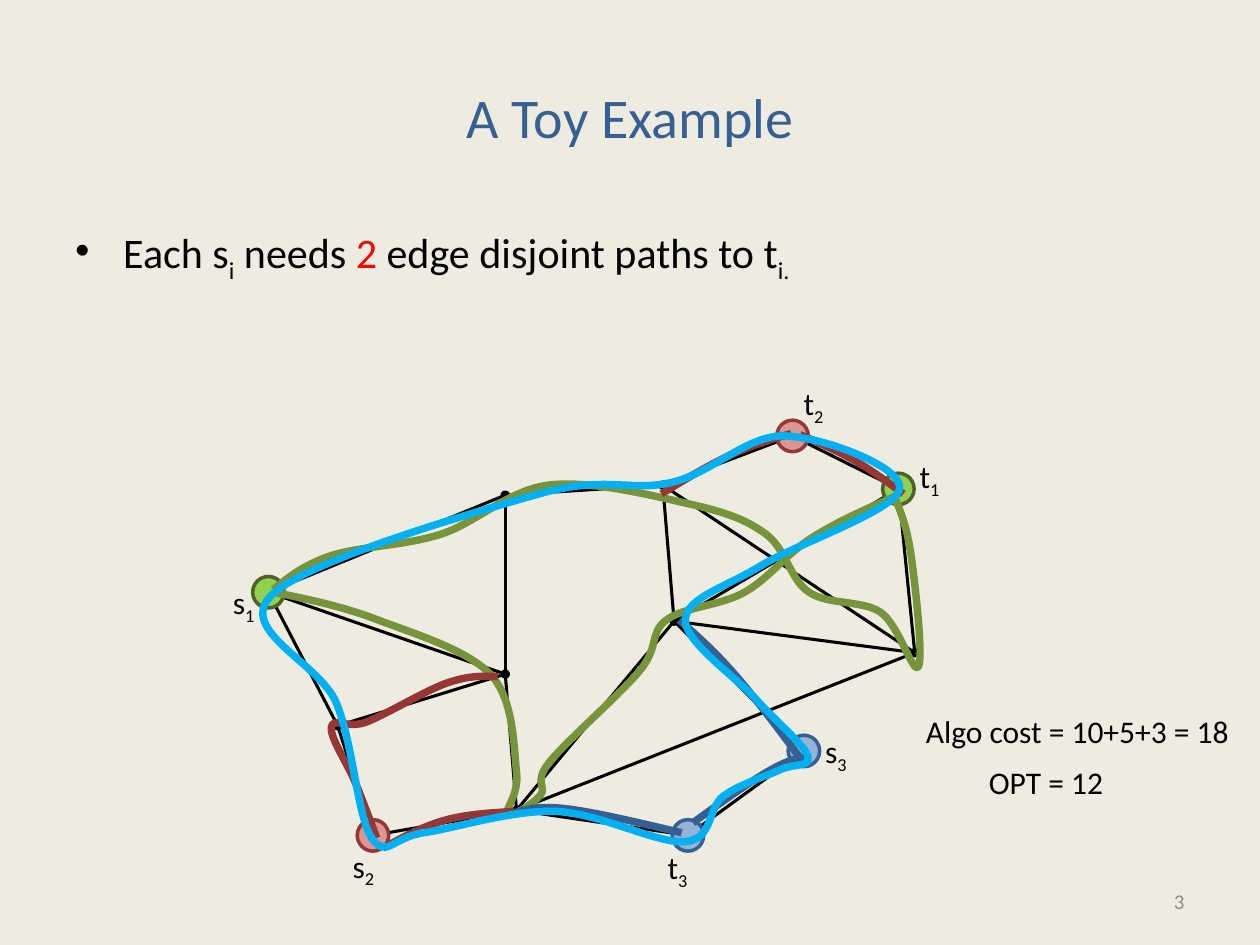
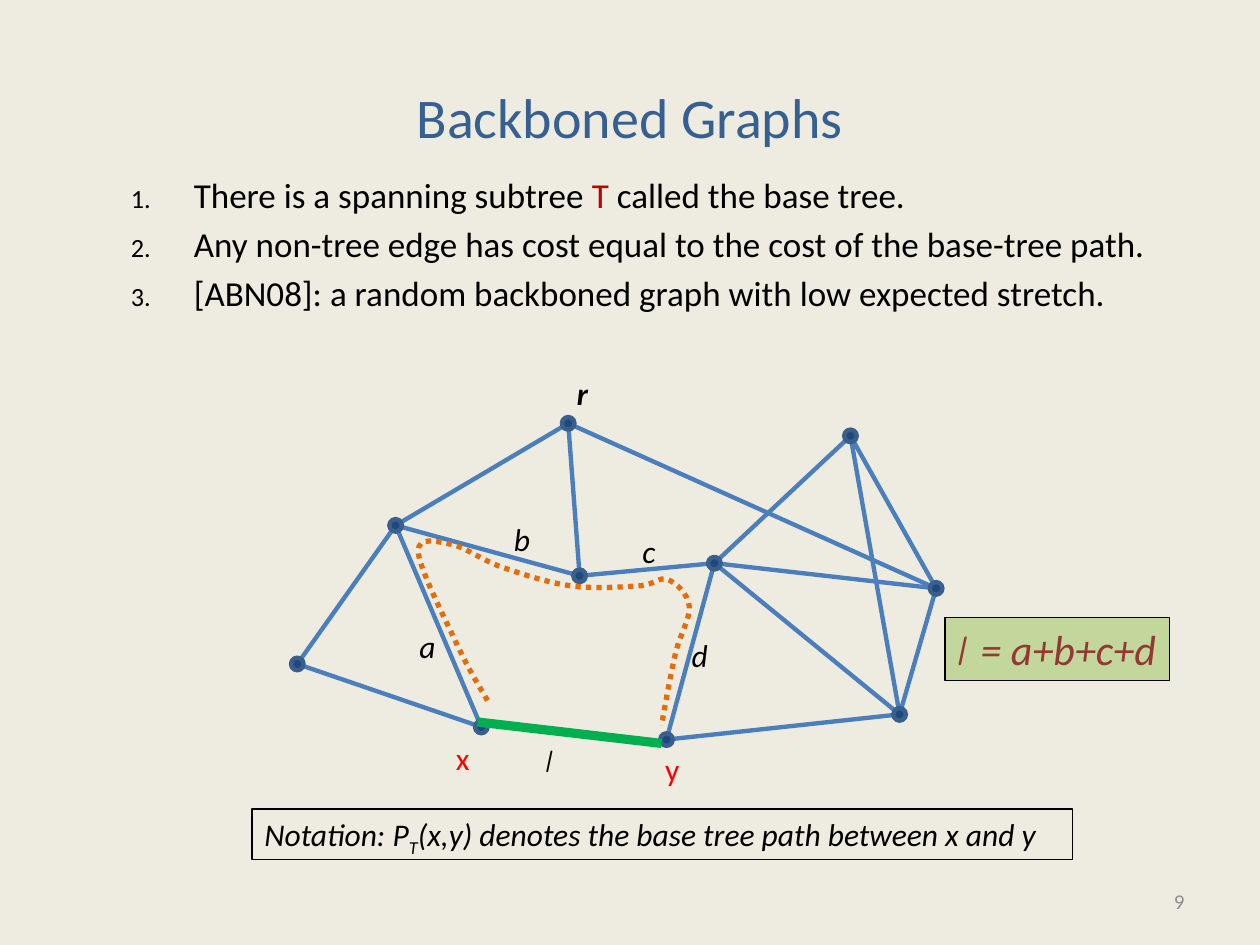
from lxml import etree
from pptx import Presentation
from pptx.dml.color import RGBColor
from pptx.enum.dml import MSO_LINE
from pptx.enum.shapes import MSO_CONNECTOR, MSO_SHAPE
from pptx.enum.text import MSO_ANCHOR, MSO_AUTO_SIZE, PP_ALIGN
from pptx.oxml.ns import qn
from pptx.util import Inches, Pt

COLORS = {
    "paper": "EEECE1", "title": "376092", "number": "8C8C8C", "black": "000000",
    "red": "FF0000", "dark_red": "C00000", "dot": "4F81BD", "cyan": "00B0F0",
    "lime": "92D050", "forest": "4F6228", "olive": "77933C",
    "pink": "D99694", "brick": "953735", "sky": "95B3D7", "navy": "376092",
    "edge": "4B7EBC", "node": "1F497D", "node_line": "3A5F8C",
    "orange": "E46C0A", "green": "00B050", "formula": "C3D69B",
}
TITLE_AT = (0.5, 0.3, 9, 1.25)
NUMBER_AT = (7.17, 6.95, 2.33, 0.4)
LABEL_HEIGHT = 0.4
SUB = {"sub": True}
COMIC = "Comic Neue"

# Slide 1: node centres, edges by node name, curves by the points they pass.
TOY_NEEDS = [["Each s", ("i", SUB), " needs ", ("2", {"color": "red"}),
              " edge disjoint paths to t", ("i.", SUB)]]
TERMINALS = {"s1": (2.13, 4.7), "t1": (7.13, 3.88), "s2": (2.96, 6.63),
             "t2": (6.29, 3.46), "s3": (6.38, 5.96), "t3": (5.46, 6.63)}
JUNCTIONS = {"a": (2.68, 5.76), "b": (4.01, 3.93), "c": (4.01, 5.35), "d": (5.26, 3.85),
             "e": (5.35, 4.93), "f": (7.26, 5.18), "g": (4.1, 6.43)}
TOY_EDGES = ("t2-t1 s1-b b-c c-a a-s1 s1-c b-d d-e e-g g-c e-s3 s3-t3 "
             "e-f f-t1 t1-e d-f f-g g-t3 t2-d s2-a s2-g")
TERMINAL_PAIRS = [
    {"ends": ("s1", "t1"), "fill": "lime", "line": "forest", "path": "olive", "curves": [
        [(2.17, 4.68), (2.63, 4.41), (3.5, 4.24), (4.36, 3.85), (5.47, 4), (6.08, 4.24),
         (6.42, 4.7), (6.99, 4.86), (7.29, 5.29), (7.23, 4.4), (7.09, 3.92)],
        [(2.17, 4.7), (3, 4.92), (3.9, 5.36), (4.1, 6.13), (4.03, 6.46), (4.29, 6.31),
         (4.36, 6.05), (5.08, 5.32), (5.29, 4.92), (5.91, 4.7), (6.44, 4.27),
         (7.1, 3.94)]]},
    {"ends": ("s2", "t2"), "fill": "pink", "line": "brick", "path": "brick", "curves": [
        [(3.04, 6.73), (3.53, 6.51), (4.08, 6.44)],
        [(2.99, 6.65), (2.82, 6.21), (2.63, 5.77), (2.91, 5.73), (3.55, 5.42),
         (3.95, 5.37)],
        [(5.25, 3.92), (5.78, 3.62), (6.28, 3.44)],
        [(6.35, 3.45), (6.79, 3.66), (7.17, 3.92)]]},
    {"ends": ("s3", "t3"), "fill": "sky", "line": "navy", "path": "navy", "curves": [
        [(5.5, 6.53), (6.1, 6.12), (6.42, 6)],
        [(5.41, 6.61), (4.5, 6.42), (4.09, 6.45)],
        [(6.36, 6.03), (5.83, 5.35), (5.39, 4.92)]]},
]
OPTIMAL_TOUR = [
    (2.15, 4.73), (4.28, 3.92), (5.33, 3.83), (6.23, 3.46), (7.14, 3.88), (6.04, 4.49),
    (5.44, 4.92), (6, 5.55), (6.41, 6), (6.19, 6.11), (5.74, 6.32), (5.44, 6.68),
    (4.41, 6.44), (3.36, 6.61), (2.95, 6.65), (2.67, 5.58)]
TERMINAL_LABELS = {"s1": (1.75, 4.58), "t1": (7.2, 3.58), "s2": (2.7, 6.67),
                   "t2": (6.28, 3), "s3": (6.45, 5.76), "t3": (5.2, 6.68)}
COSTS = [("Algo cost = 10+5+3 = 18", 7.25, 5.6, 2.64), ("OPT = 12", 7.75, 6.01, 1.12)]

# Slide 2
BACKBONE_FACTS = [
    ["There is a spanning subtree ", ("T", {"color": "dark_red"}),
     " called the base tree."],
    ["Any non-tree edge has cost equal to the cost of the base-tree path."],
    ["[ABN08]: a random backboned graph with low expected stretch."],
]
BACKBONE_NODES = {
    "left": (2.36, 5.27), "fork": (3.14, 4.17), "r": (4.51, 3.36), "mid": (4.6, 4.57),
    "x": (3.82, 5.77), "y": (5.29, 5.87), "hub": (5.67, 4.47), "peak": (6.75, 3.46),
    "right": (7.43, 4.67), "low": (7.14, 5.67)}
BACKBONE_EDGES = ("left-fork fork-r r-mid fork-mid fork-x left-x y-low low-right "
                  "right-peak peak-low right-hub hub-peak hub-low r-right mid-hub hub-y")
BASE_TREE_PATH = [
    (3.87, 5.56), (3.62, 5.1), (3.32, 4.38), (3.58, 4.32), (3.98, 4.5), (4.53, 4.65),
    (5.07, 4.65), (5.3, 4.6), (5.47, 4.81), (5.36, 5.19), (5.25, 5.76)]
NON_TREE_EDGE = ((3.79, 5.73), (5.25, 5.9))
BACKBONE_LABELS = [
    ("r", 4.48, 2.92, {"bold": True, "italic": True}),
    ("l", 4.23, 5.83, {"italic": True, "font": COMIC}),
    ("a", 3.23, 4.93, {"italic": True}),
    ("b", 3.98, 4.08, {"italic": True}),
    ("c", 5, 4.17, {"italic": True}),
    ("d", 5.39, 5, {"italic": True}),
    ("x", 3.52, 5.82, {"color": "red"}),
    ("y", 5.18, 5.9, {"color": "red"}),
]
FORMULA = [[("l ", {"font": COMIC}), "= a+b+c+d"]]
NOTATION = [["Notation: P", ("T", SUB), "(x,y) denotes the base tree path between x and y"]]


def rgb(name):
    return RGBColor.from_string(COLORS[name])


def inches(values):
    return [Inches(value) for value in values]


def format_span(span, size=18, color="black", font="Calibri", bold=False,
                italic=False, sub=False):
    span.font.size, span.font.name = Pt(size), font
    span.font.bold, span.font.italic = bold, italic
    span.font.color.rgb = rgb(color)
    if sub:
        span._r.get_or_add_rPr().set("baseline", "-25000")


def set_bullet(para, kind, value, indent, hang, percent=None):
    """Give a paragraph a buChar or buAutoNum marker with a hanging indent."""
    props = para._p.get_or_add_pPr()
    props.set("marL", str(Inches(indent)))
    props.set("indent", str(-Inches(hang)))
    if percent:
        etree.SubElement(props, qn("a:buSzPct")).set("val", str(percent * 1000))
    attribute = "char" if kind == "buChar" else "type"
    etree.SubElement(props, qn("a:" + kind)).set(attribute, value)


def fill_text(box, paragraphs, align=PP_ALIGN.LEFT, anchor=MSO_ANCHOR.TOP,
              wrap=False, bullet=None, **style):
    """Write paragraphs of spans; a span is a string or (string, own style)."""
    frame = box.text_frame
    frame.word_wrap, frame.vertical_anchor = wrap, anchor
    frame.auto_size = MSO_AUTO_SIZE.NONE if wrap else MSO_AUTO_SIZE.SHAPE_TO_FIT_TEXT
    for index, spans in enumerate(paragraphs):
        para = frame.add_paragraph() if index else frame.paragraphs[0]
        para.alignment = align
        if bullet:
            para.space_before = Pt(style["size"] * 0.2)
            set_bullet(para, **bullet)
        for item in spans:
            text, own = (item, {}) if isinstance(item, str) else item
            span = para.add_run()
            span.text = text
            format_span(span, **{**style, **own})


def add_text(page, at, paragraphs, **style):
    fill_text(page.shapes.add_textbox(*inches(at)), paragraphs, **style)


def set_line(line, color, width):
    line.color.rgb, line.width = rgb(color), Pt(width)


def add_figure(page, kind, at, fill, line, width):
    figure = page.shapes.add_shape(kind, *inches(at))
    figure.shadow.inherit = False
    if fill:
        figure.fill.solid()
        figure.fill.fore_color.rgb = rgb(fill)
    else:
        figure.fill.background()
    set_line(figure.line, line, width)
    return figure


def add_circles(page, centres, size, fill, line, width):
    for x, y in centres:
        at = (x - size / 2, y - size / 2, size, size)
        add_figure(page, MSO_SHAPE.OVAL, at, fill, line, width)


def add_edge(page, start, end, color, width):
    edge = page.shapes.add_connector(MSO_CONNECTOR.STRAIGHT, *inches((*start, *end)))
    set_line(edge.line, color, width)
    etree.SubElement(edge._element.spPr, qn("a:effectLst"))


def add_graph_edges(page, nodes, edges, color, width):
    for edge in edges.split():
        start, end = edge.split("-")
        add_edge(page, nodes[start], nodes[end], color, width)


def cubic_points(stops, closed):
    """List control, control, end for each step of a smooth curve through stops.

    The tangent at a stop is a sixth of the way between its two neighbours;
    an open end aims halfway to the other control of its step.
    """
    def control(index, sign):
        before, here, after = (stops[(index + step) % count] for step in (-1, 0, 1))
        return tuple(h + sign * (a - b) / 6 for b, h, a in zip(before, here, after))

    def halfway(first, second):
        return tuple((a + b) / 2 for a, b in zip(first, second))

    count = len(stops)
    last = count if closed else count - 1
    points = []
    for index in range(last):
        end = stops[(index + 1) % count]
        leave, arrive = control(index, 1), control(index + 1, -1)
        if not closed and index == 0:
            leave = halfway(stops[0], arrive)
        if not closed and index == last - 1:
            arrive = halfway(leave, end)
        points += [leave, arrive, end]
    return points


def add_curve(page, stops, color, width=4.25, closed=False):
    """Draw a freeform, then merge each three line steps into one cubic step."""
    builder = page.shapes.build_freeform(*inches(stops[0]), scale=1.0)
    builder.add_line_segments([inches(point) for point in cubic_points(stops, closed)],
                              close=closed)
    curve = builder.convert_to_shape()
    steps = list(curve._element.iter(qn("a:lnTo")))
    for first in range(0, len(steps), 3):
        cubic = etree.Element(qn("a:cubicBezTo"))
        steps[first].addprevious(cubic)
        for step in steps[first:first + 3]:
            cubic.append(step[0])
            step.getparent().remove(step)
    curve.shadow.inherit = False
    curve.fill.background()
    set_line(curve.line, color, width)
    return curve


def add_page(deck, title, number):
    page = deck.slides.add_slide(deck.slide_layouts[5])
    heading = page.shapes.title
    heading.left, heading.top, heading.width, heading.height = inches(TITLE_AT)
    fill_text(heading, [[title]], align=PP_ALIGN.CENTER, anchor=MSO_ANCHOR.MIDDLE,
              wrap=True, size=32, color="title")
    add_text(page, NUMBER_AT, [[number]], align=PP_ALIGN.RIGHT,
             anchor=MSO_ANCHOR.MIDDLE, wrap=True, size=12, color="number")
    return page


def build_toy_example(deck):
    page = add_page(deck, "A Toy Example", "3")
    add_text(page, (0.5, 1.75, 9, 4.95), TOY_NEEDS, wrap=True, size=24,
             bullet={"kind": "buChar", "value": "•", "indent": 0.38, "hang": 0.38})
    add_circles(page, JUNCTIONS.values(), 0.05, "dot", "black", 1.75)
    add_graph_edges(page, {**TERMINALS, **JUNCTIONS}, TOY_EDGES, "black", 1.75)
    for pair in TERMINAL_PAIRS:
        centres = [TERMINALS[name] for name in pair["ends"]]
        add_circles(page, centres, 0.25, pair["fill"], pair["line"], 2)
        for stops in pair["curves"]:
            add_curve(page, stops, pair["path"])
    for (letter, index), corner in TERMINAL_LABELS.items():
        add_text(page, (*corner, 0.38, LABEL_HEIGHT), [[letter, (index, SUB)]])
    add_curve(page, OPTIMAL_TOUR, "cyan", closed=True)
    for text, left, top, width in COSTS:
        add_text(page, (left, top, width, LABEL_HEIGHT), [[text]])


def build_backboned_graphs(deck):
    page = add_page(deck, "Backboned Graphs", "9")
    add_text(page, (0.5, 1.33, 9, 1.92), BACKBONE_FACTS, wrap=True, size=20,
             bullet={"kind": "buAutoNum", "value": "arabicPeriod",
                     "indent": 0.94, "hang": 0.5, "percent": 75})
    add_graph_edges(page, BACKBONE_NODES, BACKBONE_EDGES, "edge", 2.5)
    add_circles(page, BACKBONE_NODES.values(), 0.1, "node", "node_line", 2.5)
    add_curve(page, BASE_TREE_PATH, "orange", 3).line.dash_style = MSO_LINE.ROUND_DOT
    add_edge(page, *NON_TREE_EDGE, "green", 5.25)
    for text, left, top, style in BACKBONE_LABELS:
        add_text(page, (left, top, 0.33, LABEL_HEIGHT), [[text]], **style)
    formula = add_figure(page, MSO_SHAPE.RECTANGLE, (7.5, 4.9, 1.78, 0.5),
                         "formula", "black", 0.75)
    fill_text(formula, FORMULA, size=24, color="brick", italic=True)
    notation = add_figure(page, MSO_SHAPE.RECTANGLE, (2, 6.42, 6.51, 0.4),
                          None, "black", 0.75)
    fill_text(notation, NOTATION, italic=True)


def main():
    deck = Presentation()
    deck.slide_width, deck.slide_height = Inches(10), Inches(7.5)
    backdrop = deck.slide_master.background.fill
    backdrop.solid()
    backdrop.fore_color.rgb = rgb("paper")
    build_toy_example(deck)
    build_backboned_graphs(deck)
    deck.save("out.pptx")


if __name__ == "__main__":
    main()
